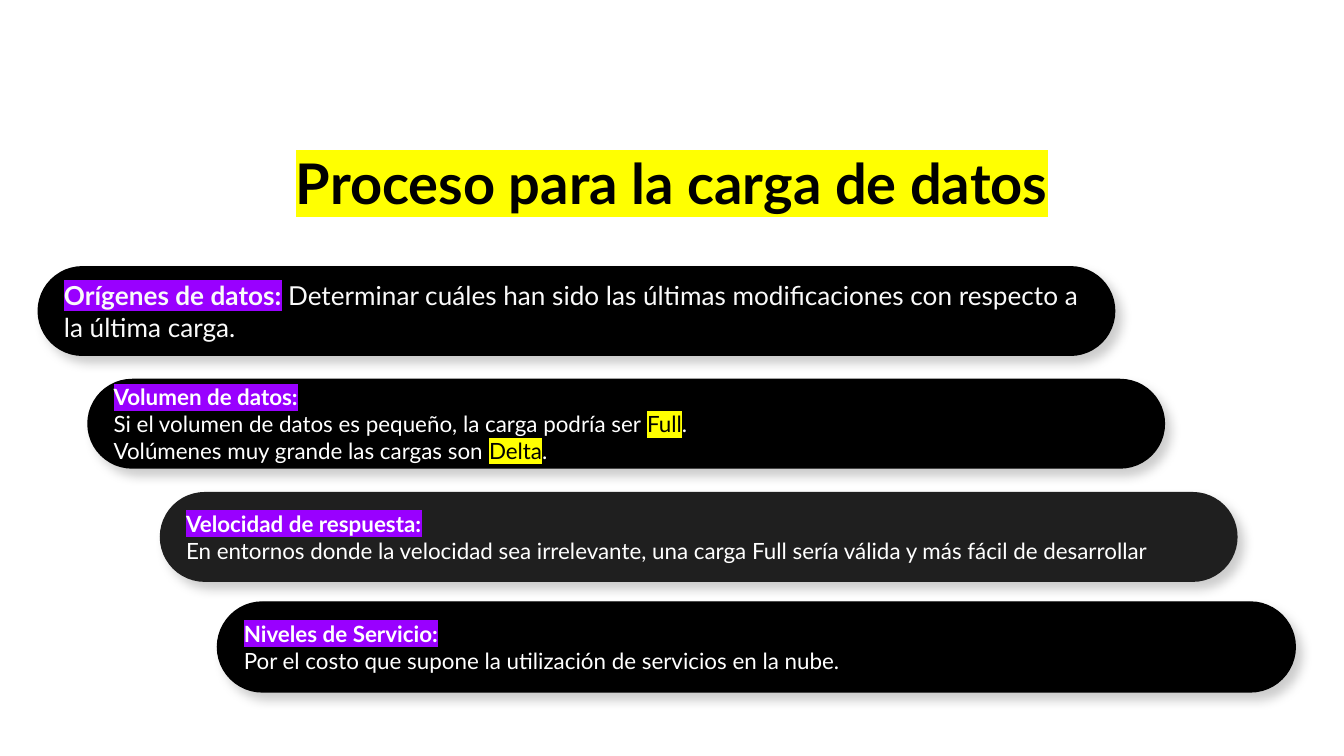
from lxml.etree import SubElement
from pptx import Presentation
from pptx.dml.color import RGBColor
from pptx.enum.shapes import MSO_SHAPE
from pptx.enum.text import MSO_ANCHOR, PP_ALIGN
from pptx.oxml.ns import qn
from pptx.util import Cm, Pt

COLORS = {
    "black": "000000",
    "dark": "1F1F1F",
    "white": "FFFFFF",
    "soft": "FAFAFA",
    "yellow": "FFFF01",
    "purple": "9900FF",
}


class Deck:
    font = "Lato"
    inset = Cm(0.25)

    def __init__(self, prs):
        self.s = prs.slides.add_slide(prs.slide_layouts[6])

    def color(self, name):
        return RGBColor.from_string(COLORS[name])

    def run(self, p, text, size, color, bold=False, highlight=None):
        r = p.add_run()
        r.text = text
        r.font.size = Pt(size)
        r.font.bold = bold
        r.font.color.rgb = self.color(color)
        if highlight:
            mark = SubElement(r.font._element, qn("a:highlight"))
            SubElement(mark, qn("a:srgbClr"), val=COLORS[highlight])
        r.font.name = self.font

    def fill_text(self, sp, paragraphs, size, align):
        tf = sp.text_frame
        tf.word_wrap = True
        tf.vertical_anchor = MSO_ANCHOR.MIDDLE
        tf.margin_left = tf.margin_right = self.inset
        tf.margin_top = tf.margin_bottom = self.inset
        for i, runs in enumerate(paragraphs):
            p = tf.add_paragraph() if i else tf.paragraphs[0]
            p.alignment = align
            for text, *style in runs:
                self.run(p, text, size, *style)

    def title(self, text, left, top, width, height):
        sp = self.s.shapes.add_textbox(Cm(left), Cm(top), Cm(width), Cm(height))
        self.fill_text(sp, [[(text, "black", True, "yellow")]], 30, PP_ALIGN.CENTER)

    def shadow(self, sp):
        sp.shadow.inherit = False
        effects = sp._element.spPr.find(qn("a:effectLst"))
        outer = SubElement(effects, qn("a:outerShdw"), blurRad=str(Pt(5.6)),
                           dist=str(Pt(4.5)), dir=str(50 * 60000),
                           algn="bl", rotWithShape="0")
        clr = SubElement(outer, qn("a:srgbClr"), val=COLORS["black"])
        SubElement(clr, qn("a:alpha"), val="20000")

    def pill(self, left, top, paragraphs, size=12, fill="black", outline=False):
        sp = self.s.shapes.add_shape(MSO_SHAPE.ROUNDED_RECTANGLE,
                                     Cm(left), Cm(top), Cm(20.37), Cm(1.7))
        sp.adjustments[0] = 0.5
        sp.fill.solid()
        sp.fill.fore_color.rgb = self.color(fill)
        if outline:
            sp.line.color.rgb = self.color(fill)
            sp.line.width = Pt(0.75)
        else:
            sp.line.fill.background()
        self.shadow(sp)
        self.fill_text(sp, paragraphs, size, PP_ALIGN.LEFT)


def heading(text, color="white"):
    return (text, color, True, "purple")


def load_type(before, name):
    return [(before, "white"), (name, "black", False, "yellow"), (".", "white")]


def main():
    prs = Presentation()
    prs.slide_width, prs.slide_height = Cm(25.4), Cm(14.29)
    deck = Deck(prs)
    deck.title("Proceso para la carga de datos", 0, 2.08, 25.4, 2.74)
    deck.pill(0.71, 5.03, [[
        heading("Orígenes de datos:", "soft"),
        (" ", "soft", True),
        ("Determinar cuáles han sido las últimas modificaciones "
         "con respecto a la última carga.", "soft"),
    ]], size=14)
    deck.pill(1.65, 7.16, [
        [heading("Volumen de datos:")],
        load_type("Si el volumen de datos es pequeño, la carga podría ser ", "Full"),
        load_type("Volúmenes muy grande las cargas son ", "Delta"),
    ])
    deck.pill(4.11, 11.38, [
        [heading("Niveles de Servicio:")],
        [("Por el costo que supone la utilización de servicios en la nube.", "white")],
    ], outline=True)
    deck.pill(3.02, 9.3, [
        [heading("Velocidad de respuesta:")],
        [("En entornos donde la velocidad sea irrelevante, una carga Full "
          "sería válida y más fácil de desarrollar", "white")],
    ], fill="dark")
    prs.save("out.pptx")


if __name__ == "__main__":
    main()
